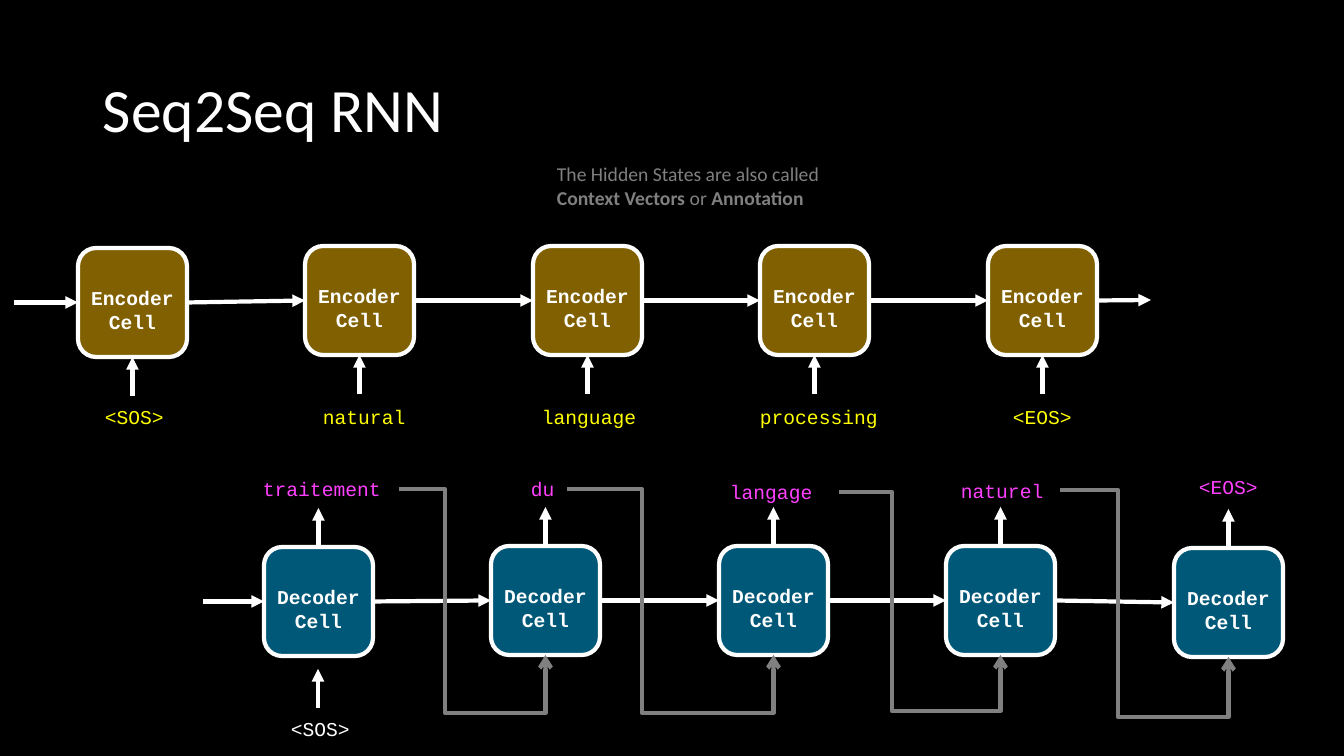
from itertools import pairwise
from lxml.etree import SubElement
from pptx import Presentation
from pptx.dml.color import RGBColor
from pptx.enum.shapes import MSO_CONNECTOR, MSO_SHAPE
from pptx.enum.text import MSO_ANCHOR, PP_ALIGN
from pptx.oxml.ns import qn
from pptx.util import Pt

BLACK = RGBColor(0x00, 0x00, 0x00)
WHITE = RGBColor(0xFF, 0xFF, 0xFF)
GRAY = RGBColor(0x80, 0x80, 0x80)
GOLD = RGBColor(0xFF, 0xC0, 0x00)
BLUE = RGBColor(0x00, 0xB0, 0xF0)
YELLOW = RGBColor(0xFF, 0xFF, 0x00)
PINK = RGBColor(0xFF, 0x40, 0xFF)

PX = 914400 / 100.8  # EMU per pixel
CELL = 109
STEM = 39  # length of the short vertical arrows

prs = Presentation()
prs.slide_width, prs.slide_height = round(1344 * PX), round(756 * PX)
s = prs.slides.add_slide(prs.slide_layouts[6])
s.background.fill.solid()
s.background.fill.fore_color.rgb = BLACK


def text(runs, x, y, w, h, font="Courier New", size=14, color=WHITE, wrap=False,
         anchor=MSO_ANCHOR.TOP, spacing=None):
    """Add a text box; runs is a list of (text, bold) pairs."""
    tf = s.shapes.add_textbox(*(round(v * PX) for v in (x, y, w, h))).text_frame
    tf.word_wrap = wrap
    tf.vertical_anchor = anchor
    p = tf.paragraphs[0]
    p.line_spacing = spacing
    for words, bold in runs:
        r = p.add_run()
        r.text = words
        r.font.name, r.font.size, r.font.bold = font, Pt(size), bold
        r.font.color.rgb = color


def arrow(x1, y1, x2, y2, begin=None, end=None, color=WHITE, head="triangle",
          kind=MSO_CONNECTOR.STRAIGHT):
    """Add an arrow; begin and end are optional (shape, site) pairs."""
    c = s.shapes.add_connector(kind, *(round(v * PX) for v in (x1, y1, x2, y2)))
    if begin:
        c.begin_connect(*begin)
    if end:
        c.end_connect(*end)
    c.line.color.rgb = color
    c.line.width = Pt(3)
    SubElement(c.line._get_or_add_ln(), qn("a:tailEnd"), type=head)
    SubElement(c._element.spPr, qn("a:effectLst"))
    return c


# Title and note
text([("Seq2Seq RNN", False)], 93, 40, 1159, 146, font="Calibri", size=44,
     wrap=True, anchor=MSO_ANCHOR.MIDDLE, spacing=0.9)
text([("The Hidden States are also called ", False), ("Context Vectors ", True),
      ("or", False), (" Annotation", True)],
     547, 157, 306, 57, font="Calibri", color=GRAY, wrap=True)

# Rows of cells: label, fill, first left, pitch, tops, left end of the entry arrow
rows = [
    ("Encoder", GOLD, 78, 227.5, (248, 246, 246, 246, 246), 14),
    ("Decoder", BLUE, 264, 227.5, (547, 546, 546, 546, 548), 203),
]
cells = {}
for label, fill, left, pitch, tops, entry in rows:
    row = cells[label] = []
    for i, top in enumerate(tops):
        x = int(left + pitch * i)
        sp = s.shapes.add_shape(MSO_SHAPE.ROUNDED_RECTANGLE,
                                *(round(v * PX) for v in (x, top, CELL, CELL)))
        sp.shadow.inherit = False
        sp.fill.solid()
        sp.fill.fore_color.rgb = fill
        SubElement(sp._element.spPr.find(qn("a:solidFill"))[0], qn("a:alpha"), val="50000")
        sp.line.color.rgb = WHITE
        sp.line.width = Pt(3)
        tf = sp.text_frame
        tf.word_wrap = True
        tf.vertical_anchor = MSO_ANCHOR.MIDDLE
        tf.margin_left = tf.margin_right = tf.margin_bottom = 0
        tf.margin_top = round(14 * PX)
        tf.text = f"{label}\nCell"
        for p in tf.paragraphs:
            p.alignment = PP_ALIGN.CENTER
            p.font.name, p.font.size, p.font.bold = "Courier New", Pt(14), True
            p.font.color.rgb = WHITE
        row.append(sp)

        # Input arrow below an encoder, output arrow above a decoder
        mid = x + CELL / 2
        if label == "Encoder":
            arrow(mid, top + CELL + STEM, mid, top + CELL, end=(sp, 2))
        else:
            arrow(mid, top, mid, top - STEM, begin=(sp, 0))

    # Hidden states passed along the row
    y = tops[0] + CELL / 2
    arrow(entry, y, left, y, end=(row[0], 1))
    for a, b in pairwise(row):
        arrow(0, 0, 1, 1, begin=(a, 3), end=(b, 1))

# Last hidden state leaving the encoder
arrow(1096, 300, 1151, 300, begin=(cells["Encoder"][-1], 3))

# First decoder input
arrow(318, 708, 318, 669)

# Words: text, left, top, width, colour
words = [
    ("<SOS>", 95, 400, 90, YELLOW),
    ("natural", 313, 400, 109, YELLOW),
    ("language", 532, 400, 119, YELLOW),
    ("processing", 750, 400, 154, YELLOW),
    ("<EOS>", 1003, 400, 88, YELLOW),
    ("traitement", 253, 472, 146, PINK),
    ("du", 521, 472, 46, PINK),
    ("langage", 720, 475, 119, PINK),
    ("naturel", 951, 474, 111, PINK),
    ("<EOS>", 1189, 470, 88, PINK),
    ("<SOS>", 281, 712, 90, WHITE),
]
for word, x, y, w, color in words:
    text([(word, False)], x, y, w, 34, color=color)

# Each output word fed back to the next decoder: start x, start y, drop x, floor y
feedback = [(399, 489, 445, 713), (567, 489, 642, 713),
            (839, 492, 892, 711), (1060, 490, 1118, 717)]
for (x, y, drop, floor), cell in zip(feedback, cells["Decoder"][1:]):
    c = arrow(x, y, x + 1, y + 1, end=(cell, 2), color=GRAY, head="arrow",
              kind=MSO_CONNECTOR.ELBOW)
    geom = c._element.spPr.find(qn("a:prstGeom"))
    geom.set("prst", "bentConnector4")
    guides = geom.find(qn("a:avLst"))
    bends = ((drop * PX - c.begin_x) / c.width, (floor * PX - c.begin_y) / c.height)
    for n, bend in enumerate(bends, 1):
        SubElement(guides, qn("a:gd"), name=f"adj{n}", fmla=f"val {round(bend * 100000)}")

prs.save("out.pptx")
